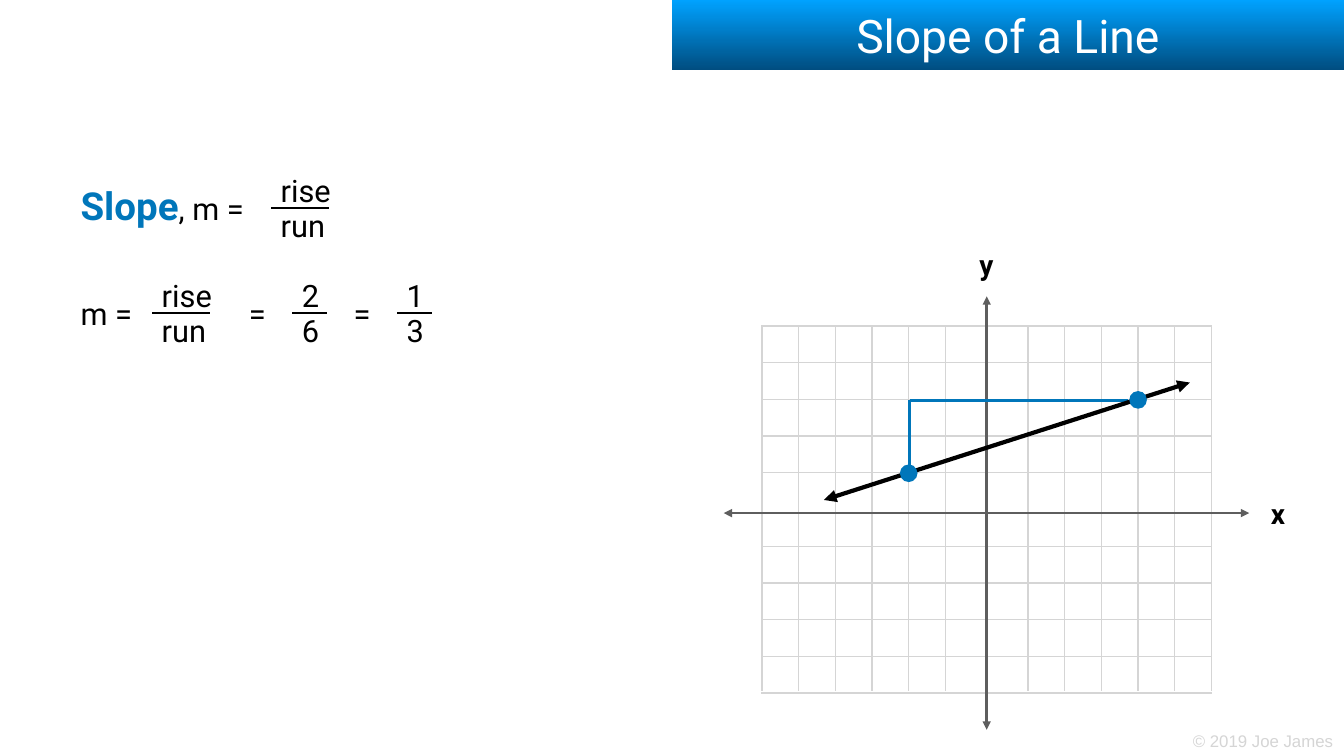
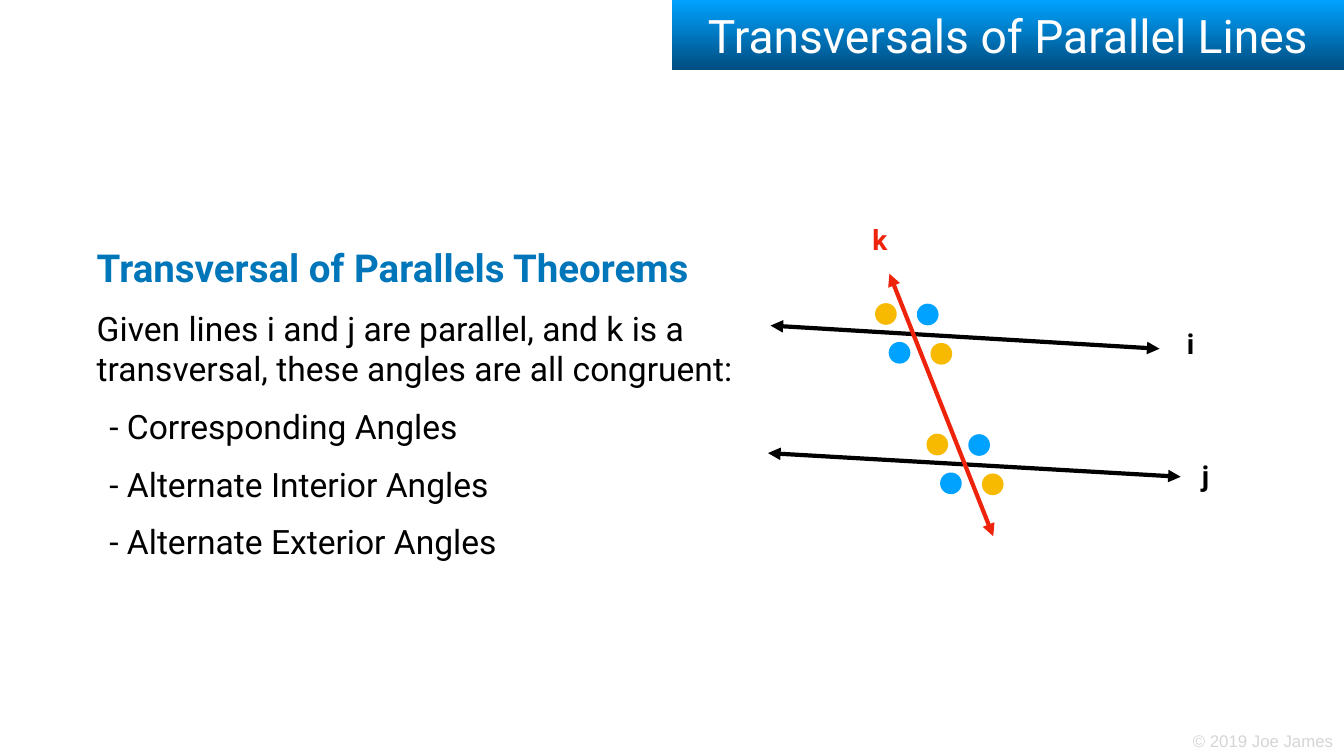
from itertools import product

from lxml.etree import SubElement
from pptx import Presentation
from pptx.dml.color import RGBColor
from pptx.enum.shapes import MSO_CONNECTOR, MSO_SHAPE
from pptx.enum.text import MSO_ANCHOR, MSO_AUTO_SIZE, PP_ALIGN
from pptx.oxml.ns import qn
from pptx.util import Inches, Pt

WIDTH, HEIGHT = 26.67, 15
FONT = "Roboto"
COLORS = {
    "black": "000000", "white": "FFFFFF", "blue": "0076BA", "sky": "00A2FF",
    "navy": "004D80", "gold": "F7BA01", "red": "EE230C",
    "axis": "5E5E5E", "pale": "D5D5D5",
}
FOOTER = "© 2019 Joe James"

# Slope slide: text pieces, then the coordinate plane
SLOPE_TITLE = "Slope of a Line"
SLOPE_TERMS = [  # text, left, top, width
    ("m =", 1.54, 5.78, 1.53),
    ("=", 4.88, 5.78, 0.82),
    ("=", 6.96, 5.78, 1.53),
]
FRACTIONS = [  # numerator, denominator, bar left, bar height, bar width
    ("rise", "run", 5.38, 4.13, 1.15),
    ("rise", "run", 3.02, 6.21, 1.15),
    ("2", "6", 5.8, 6.21, 0.69),
    ("1", "3", 7.88, 6.21, 0.69),
]
AXIS_X, AXIS_Y = 19.58, 10.18
CELL = 3.64 / 5
GRID_COLUMNS, GRID_ROWS = 6, 5
SLOPE_POINTS = [(-2, 1), (4, 3)]
AXIS_LABELS = [("x", 25.15, 9.79, 0.42), ("y", 19.37, 4.86, 0.41)]

# Transversal slide
TRANSVERSAL_TITLE = "Transversals of Parallel Lines"
THEOREM_HEADING = "Transversal of Parallels Theorems"
THEOREM_INTRO = ("Given lines i and j are parallel, and k is a transversal, "
                 "these angles are all congruent:")
THEOREM_ANGLES = ["Corresponding Angles", "Alternate Interior Angles",
                  "Alternate Exterior Angles"]
LINES = [  # start, end, color
    ((15.29, 6.46), (23.01, 6.92), "black"),
    ((15.24, 8.99), (23.43, 9.46), "black"),
    ((17.65, 5.43), (19.71, 10.64), "red"),
]
LINE_LABELS = [  # text, left, top, width, color
    ("i", 23.49, 6.43, 0.27, "black"),
    ("j", 23.78, 9.04, 0.28, "black"),
    ("k", 17.24, 4.36, 0.44, "red"),
]
CROSSINGS = [(17.58, 6.23), (18.6, 8.82)]  # centre of each upper left dot
ANGLE_DOTS = [(0, 0, "gold"), (0.83, 0.01, "sky"),
              (0.27, 0.77, "sky"), (1.1, 0.79, "gold")]


def rgb(name):
    return RGBColor.from_string(COLORS[name])


def write(paragraph, text, size=44, color="black", bold=False, font=FONT):
    run = paragraph.add_run()
    run.text = text
    run.font.name, run.font.size, run.font.bold = font, Pt(size), bold
    run.font.color.rgb = rgb(color)


def set_frame(frame, anchor=MSO_ANCHOR.TOP, wrap=True):
    frame.word_wrap = wrap
    frame.vertical_anchor = anchor
    frame.margin_left = frame.margin_right = Inches(0.06)
    frame.margin_top = frame.margin_bottom = Inches(0.06)


def add_text(slide, text, left, top, width, height=0.82, anchor=MSO_ANCHOR.TOP,
             wrap=True, align=PP_ALIGN.LEFT, **style):
    """Add a text box and return its frame, so that more text can follow."""
    box = slide.shapes.add_textbox(*map(Inches, (left, top, width, height)))
    frame = box.text_frame
    set_frame(frame, anchor, wrap)
    frame.auto_size = MSO_AUTO_SIZE.SHAPE_TO_FIT_TEXT
    frame.paragraphs[0].alignment = align
    write(frame.paragraphs[0], text, **style)
    return frame


def add_label(slide, text, left, top, width, color="black"):
    add_text(slide, text, left, top, width, 0.78, anchor=MSO_ANCHOR.MIDDLE,
             wrap=False, align=PP_ALIGN.CENTER, size=40, color=color, bold=True)


def add_line(shapes, start, end, color="black", width=6, arrows=False):
    line = shapes.add_connector(MSO_CONNECTOR.STRAIGHT,
                                *map(Inches, (*start, *end)))
    line.line.color.rgb = rgb(color)
    line.line.width = Pt(width)
    if arrows:
        outline = line.line._get_or_add_ln()
        for tag in ("a:headEnd", "a:tailEnd"):
            SubElement(outline, qn(tag), type="triangle")
    SubElement(line._element.spPr, qn("a:effectLst"))


def add_dot(slide, center_x, center_y, size, color):
    dot = slide.shapes.add_shape(
        MSO_SHAPE.OVAL, Inches(center_x - size / 2), Inches(center_y - size / 2),
        Inches(size), Inches(size))
    dot.shadow.inherit = False
    dot.fill.solid()
    dot.fill.fore_color.rgb = rgb(color)
    dot.line.fill.background()


def add_slide(presentation, title):
    """Add a blank slide with the footer and the title band."""
    slide = presentation.slides.add_slide(presentation.slide_layouts[6])
    add_text(slide, FOOTER, 23.61, 14.45, 2.91, 0.49, anchor=MSO_ANCHOR.MIDDLE,
             wrap=False, size=24, color="pale", font="Arial")
    band = slide.shapes.add_shape(MSO_SHAPE.RECTANGLE, Inches(WIDTH / 2), 0,
                                  Inches(WIDTH / 2), Inches(1.39))
    band.shadow.inherit = False
    band.line.fill.background()
    band.fill.gradient()
    band.fill.gradient_angle = 270
    for stop, color, position in zip(band.fill.gradient_stops,
                                     ("sky", "navy"), (0, 1)):
        stop.color.rgb = rgb(color)
        stop.position = position
    set_frame(band.text_frame, MSO_ANCHOR.MIDDLE)
    paragraph = band.text_frame.paragraphs[0]
    paragraph.alignment = PP_ALIGN.CENTER
    write(paragraph, title, size=66, color="white")
    return slide


def column_x(column):
    distance = 0.82 + (abs(column) - 1) * CELL
    return AXIS_X + distance if column > 0 else AXIS_X - distance


def row_y(row):
    distance = (abs(row) - 1) * CELL
    return AXIS_Y - 0.8 - distance if row > 0 else AXIS_Y + 0.66 + distance


def add_plane(slide):
    shapes = slide.shapes.add_group_shape().shapes
    for sign, row in product((1, -1), range(1, GRID_ROWS + 1)):
        y = row_y(sign * row)
        add_line(shapes, (15.11, y), (24.05, y), "pale", 2)
    for sign, column in product((1, -1), range(1, GRID_COLUMNS + 1)):
        x = column_x(sign * column)
        add_line(shapes, (x, 6.45), (x, 13.71), "pale", 2)
    add_line(shapes, (14.36, AXIS_Y), (24.79, AXIS_Y), "axis", 4, arrows=True)
    add_line(shapes, (AXIS_X, 5.88), (AXIS_X, 14.48), "axis", 4, arrows=True)


def add_fraction(slide, numerator, denominator, left, bar_y, width):
    add_text(slide, numerator, left + 0.13, bar_y - 0.78, 1.77)
    add_text(slide, denominator, left + 0.13, bar_y - 0.08, 1.77)
    add_line(slide.shapes, (left, bar_y), (left + width, bar_y), width=3)


def build_slope(presentation):
    slide = add_slide(presentation, SLOPE_TITLE)
    frame = add_text(slide, "Slope", 1.54, 3.56, 3.67, 1.03,
                     size=55, color="blue", bold=True)
    write(frame.paragraphs[0], ", m =")
    add_plane(slide)
    for label in AXIS_LABELS:
        add_label(slide, *label)
    for term in SLOPE_TERMS:
        add_text(slide, *term)
    for fraction in FRACTIONS:
        add_fraction(slide, *fraction)

    points = [(column_x(column), row_y(row)) for column, row in SLOPE_POINTS]
    (start_x, start_y), (end_x, end_y) = points
    corner = (start_x + 0.02, end_y + 0.02)
    add_line(slide.shapes, corner, (end_x - 0.19, corner[1]), "blue", 4)
    add_line(slide.shapes, (16.35, 9.92), (23.61, 7.59), arrows=True)
    for x, y in points:
        add_dot(slide, x, y + 0.01, 0.35, "blue")
    add_line(slide.shapes, corner, (corner[0], start_y - 0.13), "blue", 4)


def build_transversal(presentation):
    slide = add_slide(presentation, TRANSVERSAL_TITLE)
    for start, end, color in LINES:
        add_line(slide.shapes, start, end, color, arrows=True)
    for label in LINE_LABELS:
        add_label(slide, *label)

    frame = add_text(slide, THEOREM_HEADING, 1.86, 4.78, 12.82, 7.18,
                     size=55, color="blue", bold=True)
    for text in [THEOREM_INTRO] + [f"- {angle}" for angle in THEOREM_ANGLES]:
        paragraph = frame.add_paragraph()
        paragraph.space_before = Pt(25)
        if text != THEOREM_INTRO:
            paragraph.level = 1
            properties = paragraph._p.get_or_add_pPr()
            properties.set("marL", "0")
            properties.set("indent", str(Inches(0.25)))
        write(paragraph, text, size=48)

    for (x, y), (right, down, color) in product(CROSSINGS, ANGLE_DOTS):
        add_dot(slide, x + right, y + down, 0.43, color)


def main():
    presentation = Presentation()
    presentation.slide_width = Inches(WIDTH)
    presentation.slide_height = Inches(HEIGHT)
    build_slope(presentation)
    build_transversal(presentation)
    presentation.save("out.pptx")


if __name__ == "__main__":
    main()
